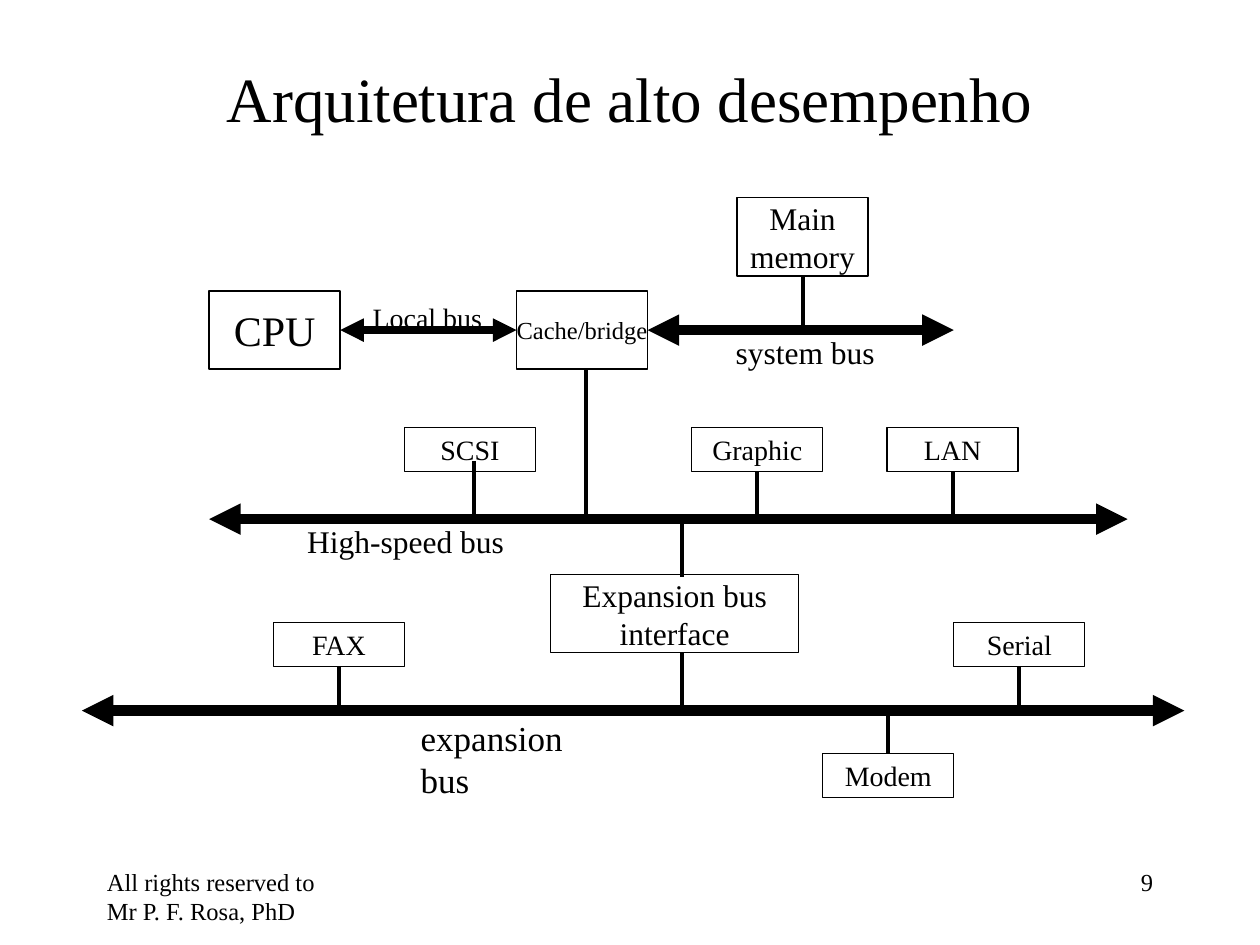
"""Build the high-performance bus architecture slide."""
from pptx import Presentation
from pptx import util as u
from pptx.dml.color import RGBColor
from pptx.enum import shapes, text
from pptx.oxml import ns
from lxml import etree

BLACK = RGBColor(0, 0, 0)
FONT = "Times New Roman"
TOP, LEFT, BOTTOM, RIGHT = range(4)
LOCAL_Y, HIGH_SPEED_Y, EXPANSION_Y = 2.62, 4.12, 5.64
BOX_WIDTH, TALL, SHORT = 1.04, 0.62, 0.35
STUB, LOCAL, BUS = 2.25, 4.5, 6


class Diagram:
    def __init__(self, slide):
        self.slide = slide
        self.font = FONT
        self.color = BLACK

    def add_lines(self, shape, lines, size, align, anchor, wrap):
        frame = shape.text_frame
        frame.word_wrap = wrap
        frame.vertical_anchor = anchor
        for index, line in enumerate(lines):
            paragraph = frame.add_paragraph() if index else frame.paragraphs[0]
            paragraph.alignment = align
            run = paragraph.add_run()
            run.text = line
            run.font.name = self.font
            run.font.size = u.Pt(size)
            run.font.color.rgb = self.color

    def label(self, content, bounds, size, align=text.PP_ALIGN.LEFT,
              anchor=text.MSO_ANCHOR.TOP, wrap=False, right_inset=0.1):
        shape = self.slide.shapes.add_textbox(*map(u.Inches, bounds))
        shape.text_frame.margin_right = u.Inches(right_inset)
        self.add_lines(shape, [content], size, align, anchor, wrap)
        return shape

    def box(self, lines, left, top, size=16, width=BOX_WIDTH, height=SHORT):
        shape = self.slide.shapes.add_shape(
            shapes.MSO_SHAPE.RECTANGLE, *map(u.Inches, (left, top, width, height)))
        shape.shadow.inherit = False
        shape.fill.background()
        shape.line.color.rgb = self.color
        shape.line.width = u.Pt(0.75)
        self.add_lines(shape, lines, size, text.PP_ALIGN.CENTER,
                       text.MSO_ANCHOR.MIDDLE, False)
        return shape

    def line(self, start, end, width=STUB, arrows=False):
        connector = self.slide.shapes.add_connector(
            shapes.MSO_CONNECTOR.STRAIGHT, *map(u.Inches, (*start, *end)))
        connector.line.color.rgb = self.color
        connector.line.width = u.Pt(width)
        if arrows:
            outline = connector.line._get_or_add_ln()
            for tag in ("a:headEnd", "a:tailEnd"):
                etree.SubElement(outline, ns.qn(tag), type="triangle")
        etree.SubElement(connector._element.spPr, ns.qn("a:effectLst"))
        return connector

    def stub(self, box, side, bus_y):
        x = (box.left + box.width / 2) / u.Inches(1)
        edge = box.top + (box.height if side == BOTTOM else 0)
        connector = self.line((x, edge / u.Inches(1)), (x, bus_y))
        connector.begin_connect(box, side)


def main():
    presentation = Presentation()
    presentation.slide_width = u.Inches(10)
    presentation.slide_height = u.Inches(7.5)
    diagram = Diagram(presentation.slides.add_slide(presentation.slide_layouts[6]))

    diagram.label("All rights reserved to Mr P. F. Rosa, PhD", (0.75, 6.83, 2.08, 0.5),
                  14, wrap=True, right_inset=0.2)
    diagram.label("9", (7.17, 6.83, 2.08, 0.5), 14, text.PP_ALIGN.RIGHT, wrap=True)
    diagram.label("Arquitetura de alto desempenho", (0.75, 0.29, 8.5, 0.97), 36,
                  text.PP_ALIGN.CENTER, text.MSO_ANCHOR.MIDDLE, True)

    cpu = diagram.box(["CPU"], 1.66, 2.31, 24, height=TALL)
    cache = diagram.box(["Cache/bridge"], 4.1, 2.31, 14, height=TALL)
    memory = diagram.box(["Main", "memory"], 5.85, 1.57, 18, height=TALL)
    diagram.box(["Expansion bus", "interface"], 4.37, 4.56, 18, 1.97, TALL)
    diagram.box(["SCSI"], 3.21, 3.39)

    local_bus = diagram.line((2.7, LOCAL_Y), (4.1, LOCAL_Y), LOCAL, True)
    local_bus.begin_connect(cpu, RIGHT)
    local_bus.end_connect(cache, LEFT)
    system_bus = diagram.line((5.14, LOCAL_Y), (7.57, LOCAL_Y), BUS, True)
    system_bus.begin_connect(cache, RIGHT)
    diagram.line((1.66, HIGH_SPEED_Y), (8.95, HIGH_SPEED_Y), BUS, True)
    diagram.line((0.65, EXPANSION_Y), (9.4, EXPANSION_Y), BUS, True)

    diagram.stub(memory, BOTTOM, LOCAL_Y)
    for name, left, top, side, bus_y in (
            ("Graphic", 5.49, 3.39, BOTTOM, HIGH_SPEED_Y),
            ("LAN", 7.04, 3.39, BOTTOM, HIGH_SPEED_Y),
            ("FAX", 2.17, 4.94, BOTTOM, EXPANSION_Y),
            ("Serial", 7.57, 4.94, BOTTOM, EXPANSION_Y),
            ("Modem", 6.53, 5.98, TOP, EXPANSION_Y)):
        diagram.stub(diagram.box([name], left, top), side, bus_y)

    for x, start_y, end_y in ((4.65, 2.93, HIGH_SPEED_Y), (3.76, 3.66, HIGH_SPEED_Y),
                              (5.41, HIGH_SPEED_Y, 4.58), (5.41, 5.18, EXPANSION_Y)):
        diagram.line((x, start_y), (x, end_y))

    diagram.label("Local bus", (2.86, 2.34, 1.07, 0.37), 16)
    diagram.label("system bus", (5.74, 2.59, 1.31, 0.4), 18)
    diagram.label("High-speed bus", (2.34, 4.09, 1.76, 0.4), 18)
    diagram.label("expansion bus", (3.24, 5.64, 1.78, 0.43), 20,
                  wrap=True, right_inset=0.4)

    presentation.save("out.pptx")


if __name__ == "__main__":
    main()
